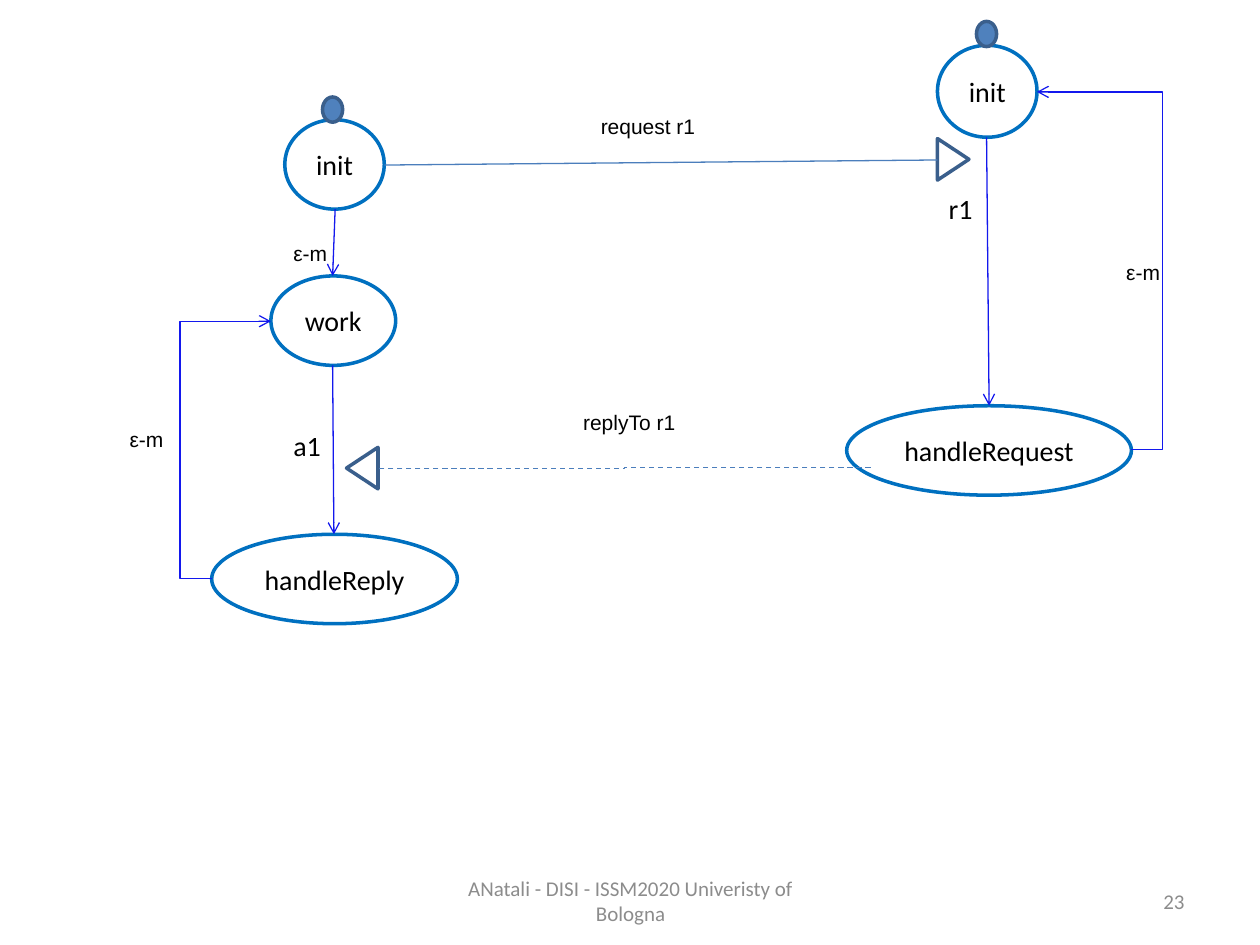
from dataclasses import dataclass

from lxml.etree import SubElement as Sub
from pptx import Presentation
from pptx.dml.color import RGBColor as Rgb
from pptx.enum.dml import MSO_LINE_DASH_STYLE as Dash
from pptx.enum.shapes import MSO_AUTO_SHAPE_TYPE as Kind, MSO_CONNECTOR as Link
from pptx.enum.text import MSO_ANCHOR as Anchor, MSO_AUTO_SIZE as Fit, PP_ALIGN as Align
from pptx.oxml.ns import qn
from pptx.util import Emu, Pt

SCALE = 9144  # EMU in one px, 100 px to the inch


def px(num):
    return Emu(num * SCALE)


def put(item, vals):
    """Set each named value on the item."""
    for name, val in vals.items():
        setattr(item, name, val)


@dataclass(frozen=True)
class Theme:
    white: str = "FFFFFF"
    black: str = "000000"
    grey: str = "8C8C8C"
    ring: str = "0070C0"
    dot: str = "4F81BD"
    edge: str = "3A5F8C"
    flow: str = "1318ED"
    call: str = "4B7EBC"
    body: str = "Calibri"
    plain: str = "Arial"
    big: int = 16
    small: int = 12
    thick: float = 2
    thin: float = 0.75


class Board:
    def __init__(self, slide, theme):
        self.slide, self.theme = slide, theme

    def words(self, shape, text, size, font, color, frame, align):
        put(shape.text_frame, frame)
        para = shape.text_frame.paragraphs[0]
        para.alignment = align
        run = para.add_run()
        run.text = text
        put(run.font, {"size": Pt(size), "name": font})
        run.font.color.rgb = Rgb.from_string(color)

    def stroke(self, line, color, width):
        line.color.rgb = Rgb.from_string(color)
        line.width = Pt(width)

    def shape(self, kind, box, fill, edge, turn=0):
        item = self.slide.shapes.add_shape(kind, *map(px, box))
        item.shadow.inherit = False
        item.rotation = turn
        item.fill.solid()
        item.fill.fore_color.rgb = Rgb.from_string(fill)
        self.stroke(item.line, edge, self.theme.thick)
        return item

    def state(self, text, *box):
        look = self.theme
        item = self.shape(Kind.OVAL, box, look.white, look.ring)
        self.words(item, text, look.big, look.body, look.black,
                   {"word_wrap": True, "vertical_anchor": Anchor.MIDDLE}, Align.CENTER)

    def start(self, left, top):
        """Draw the dot that marks a first state."""
        self.shape(Kind.OVAL, (left, top, 16, 20), self.theme.dot, self.theme.edge)

    def port(self, left, top, turn):
        """Draw the triangle where a message comes in."""
        self.shape(Kind.ISOSCELES_TRIANGLE, (left, top, 33, 25),
                   self.theme.white, self.theme.edge, turn)

    def text(self, box):
        return self.slide.shapes.add_textbox(*map(px, box))

    def label(self, text, size, font, *box):
        self.words(self.text(box), text, size, font, self.theme.black,
                   {"word_wrap": False, "auto_size": Fit.SHAPE_TO_FIT_TEXT}, Align.LEFT)

    def note(self, text, *box):
        self.label(text, self.theme.small, self.theme.plain, *box)

    def event(self, text, *box):
        self.label(text, self.theme.big, self.theme.body, *box)

    def foot(self, text, left, width, align):
        look = self.theme
        self.words(self.text((left, 695, width, 40)), text, look.small, look.body, look.grey,
                   {"word_wrap": True, "vertical_anchor": Anchor.MIDDLE}, align)

    def wire(self, kind, ends, color):
        item = self.slide.shapes.add_connector(kind, *map(px, ends))
        self.stroke(item.line, color, self.theme.thin)
        Sub(item.element.spPr, qn("a:effectLst"))
        return item

    def flow(self, *ends, bend=None):
        """Draw an arrow; bend is the elbow's place in thousandths of its width."""
        kind = Link.STRAIGHT if bend is None else Link.ELBOW
        props = self.wire(kind, ends, self.theme.flow).element.spPr
        Sub(props.find(qn("a:ln")), qn("a:tailEnd"), type="arrow")
        if bend is not None:
            guides = props.find(qn("a:prstGeom")).get_or_add_avLst()
            Sub(guides, qn("a:gd"), name="adj1", fmla=f"val {bend * 100}")

    def call(self, *ends):
        self.wire(Link.STRAIGHT, ends, self.theme.call)

    def reply(self, *ends):
        self.wire(Link.ELBOW, ends, self.theme.call).line.dash_style = Dash.DASH


def main():
    deck = Presentation()
    put(deck, {"slide_width": px(1000), "slide_height": px(750)})
    board = Board(deck.slides.add_slide(deck.slide_layouts[6]), Theme())

    board.foot("ANatali - DISI - ISSM2020 Univeristy of Bologna", 342, 317, Align.CENTER)
    board.foot("23", 717, 233, Align.RIGHT)

    for state in (
        ("init", 226, 95, 79, 71),
        ("work", 215, 219, 99, 71),
        ("handleReply", 168, 424, 195, 71),
        ("init", 744, 36, 79, 73),
        ("handleRequest", 672, 322, 226, 71),
    ):
        board.state(*state)
    board.start(256, 77)
    board.start(775, 17)
    board.port(740, 114, 90)

    board.call(305, 131, 744, 127)
    board.flow(783, 109, 785, 322)
    board.flow(266, 166, 264, 219)
    board.flow(898, 357, 823, 73, bend=-332)
    board.port(271, 359, 270)
    board.reply(691, 371, 300, 372)
    board.flow(264, 290, 265, 424)
    board.flow(168, 459, 215, 255, bend=-532)

    board.event("r1", 743, 147, 39, 37)
    board.event("a1", 223, 335, 42, 37)
    board.note("request r1", 467, 85, 96, 30)
    board.note("replyTo r1", 453, 320, 94, 30)
    for left, top in ((223, 186), (93, 334), (884, 201)):
        board.note("ε-m", left, top, 47, 30)

    deck.save("out.pptx")


if __name__ == "__main__":
    main()
